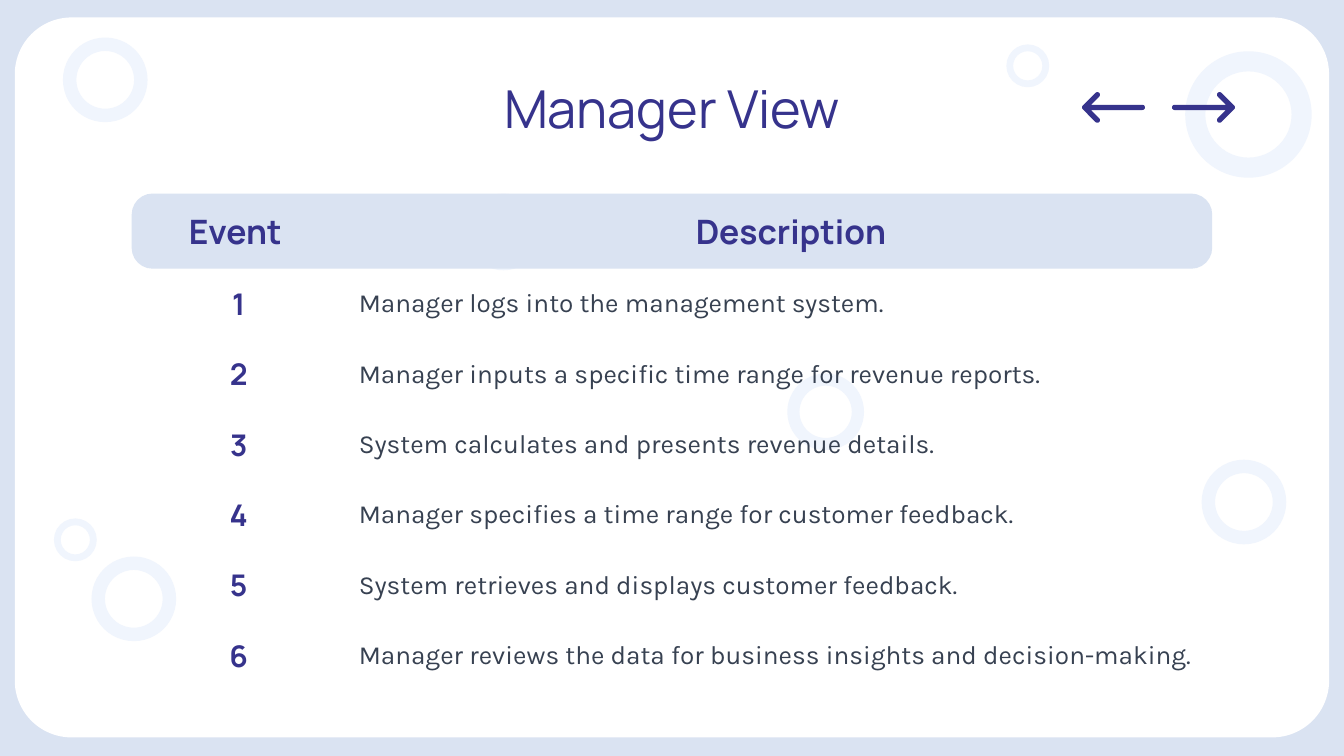
from dataclasses import dataclass
from math import cos, radians, sin, sqrt

from pptx import Presentation
from pptx import util as u
from pptx.dml.color import RGBColor
from pptx.enum import shapes, text
from pptx.util import Cm


@dataclass(frozen=True)
class Theme:
    pale: RGBColor = RGBColor.from_string("DAE3F2")
    bubble: RGBColor = RGBColor.from_string("F0F5FD")
    white: RGBColor = RGBColor.from_string("FFFFFF")
    accent: RGBColor = RGBColor.from_string("36338C")
    body: RGBColor = RGBColor.from_string("374151")
    head_font: str = "Manrope"
    body_font: str = "Karla"
    title_size: int = 28
    head_size: int = 18
    number_size: int = 16
    body_size: int = 14


T = Theme()
INSET = 0.25
NO_GRID = "{2D5ABB26-0587-4C30-8999-92F81FD0307C}"
# left, top, diameter in cm
BUBBLES = [
    (22.4, 0.97, 2.39), (22.71, 8.69, 1.6), (1.02, 9.8, 0.81), (1.19, 0.71, 1.6),
    (1.73, 10.52, 1.6), (14.88, 7.06, 1.45), (8.79, 3.66, 1.45), (19.02, 0.84, 0.81),
]
EVENTS = [
    "Manager logs into the management system.",
    "Manager inputs a specific time range for revenue reports.",
    "System calculates and presents revenue details.",
    "Manager specifies a time range for customer feedback.",
    "System retrieves and displays customer feedback.",
    "Manager reviews the data for business insights and decision-making.",
]


def paint(sp, color):
    sp.shadow.inherit = False
    sp.fill.solid()
    sp.fill.fore_color.rgb = color
    sp.line.fill.background()


def add_preset(s, kind, box, color, adjust):
    sp = s.shapes.add_shape(kind, *map(Cm, box))
    sp.adjustments[0] = adjust
    paint(sp, color)


def write(tf, words, font, size, color, bold=False, align=text.PP_ALIGN.CENTER):
    tf.word_wrap = True
    p = tf.paragraphs[0]
    p.text = words
    p.alignment = align
    p.font.name, p.font.size, p.font.bold = font, u.Pt(size), bold
    p.font.color.rgb = color


def set_insets(frame):
    """Works for both text frames and table cells."""
    frame.vertical_anchor = text.MSO_ANCHOR.MIDDLE
    frame.margin_left = frame.margin_right = Cm(INSET)
    frame.margin_top = frame.margin_bottom = Cm(INSET)


def add_backdrop(s, box):
    s.background.fill.solid()
    s.background.fill.fore_color.rgb = T.pale
    add_preset(s, shapes.MSO_SHAPE.ROUNDED_RECTANGLE, box, T.white, 0.079)
    for left, top, size in BUBBLES:
        add_preset(s, shapes.MSO_SHAPE.DONUT, (left, top, size, size), T.bubble, 0.159)


def add_title(s, box, words):
    tf = s.shapes.add_textbox(*map(Cm, box)).text_frame
    set_insets(tf)
    write(tf, words, T.head_font, T.title_size, T.accent)


def add_events(s, box, first_col, head_height):
    left, top, width, height = box
    row_height = (height - head_height) / len(EVENTS)
    # Rounded header band behind the table
    add_preset(s, shapes.MSO_SHAPE.ROUNDED_RECTANGLE,
               (left, top, 20.42, head_height), T.pale, 0.278)
    # Table without grid or banding
    tbl = s.shapes.add_table(len(EVENTS) + 1, 2, *map(Cm, box)).table
    tbl.first_row = tbl.horz_banding = False
    tbl._tbl.tblPr[0].text = NO_GRID
    tbl.columns[0].width = Cm(first_col)
    tbl.columns[1].width = Cm(width - first_col)
    for i, row in enumerate(tbl.rows):
        row.height = Cm(row_height if i else head_height)
        for cell in row.cells:
            cell.fill.background()
            set_insets(cell)
    # Header words, then numbered events
    for col, words in enumerate(["Event ", "Description"]):
        write(tbl.cell(0, col).text_frame, words, T.head_font, T.head_size, T.accent, True)
    for i, event in enumerate(EVENTS, 1):
        write(tbl.cell(i, 0).text_frame, str(i), T.head_font, T.number_size, T.accent, True)
        write(tbl.cell(i, 1).text_frame, event, T.body_font, T.body_size, T.body,
              align=text.PP_ALIGN.LEFT)


def arc(x, y, r, start, sweep):
    steps = 6
    angles = [radians(start + sweep * i / steps) for i in range(steps + 1)]
    return [(x + r * cos(a), y + r * sin(a)) for a in angles]


def add_arrow(s, box, to_left=False):
    """Round-capped arrow with a 45 degree head that fills the box."""
    left, top, width, height = box
    r, mid = 0.05, height / 2
    tip = width - r
    barb = tip - (mid - r)
    joint = tip - r - r * sqrt(2)
    points = [
        *arc(r, mid, r, 90, 180), (joint, mid - r),
        *arc(barb, r, r, 135, 180), *arc(tip, mid, r, -45, 90),
        *arc(barb, height - r, r, 45, 180), (joint, mid + r),
    ]
    points = [(Cm(left + (width - x if to_left else x)), Cm(top + y)) for x, y in points]
    builder = s.shapes.build_freeform(*points[0])
    builder.add_line_segments(points[1:], close=True)
    paint(builder.convert_to_shape(), T.accent)


def main():
    prs = Presentation()
    prs.slide_width, prs.slide_height = Cm(25.4), Cm(14.29)
    s = prs.slides.add_slide(prs.slide_layouts[6])
    add_backdrop(s, (0.28, 0.33, 24.84, 13.61))
    add_events(s, (2.49, 3.66, 20.88, 9.4), first_col=4.04, head_height=1.42)
    add_title(s, (1.98, 1.24, 21.44, 1.6), "Manager View")
    add_arrow(s, (22.15, 1.74, 1.19, 0.58))
    add_arrow(s, (20.45, 1.74, 1.19, 0.58), to_left=True)
    prs.save("out.pptx")


if __name__ == "__main__":
    main()
